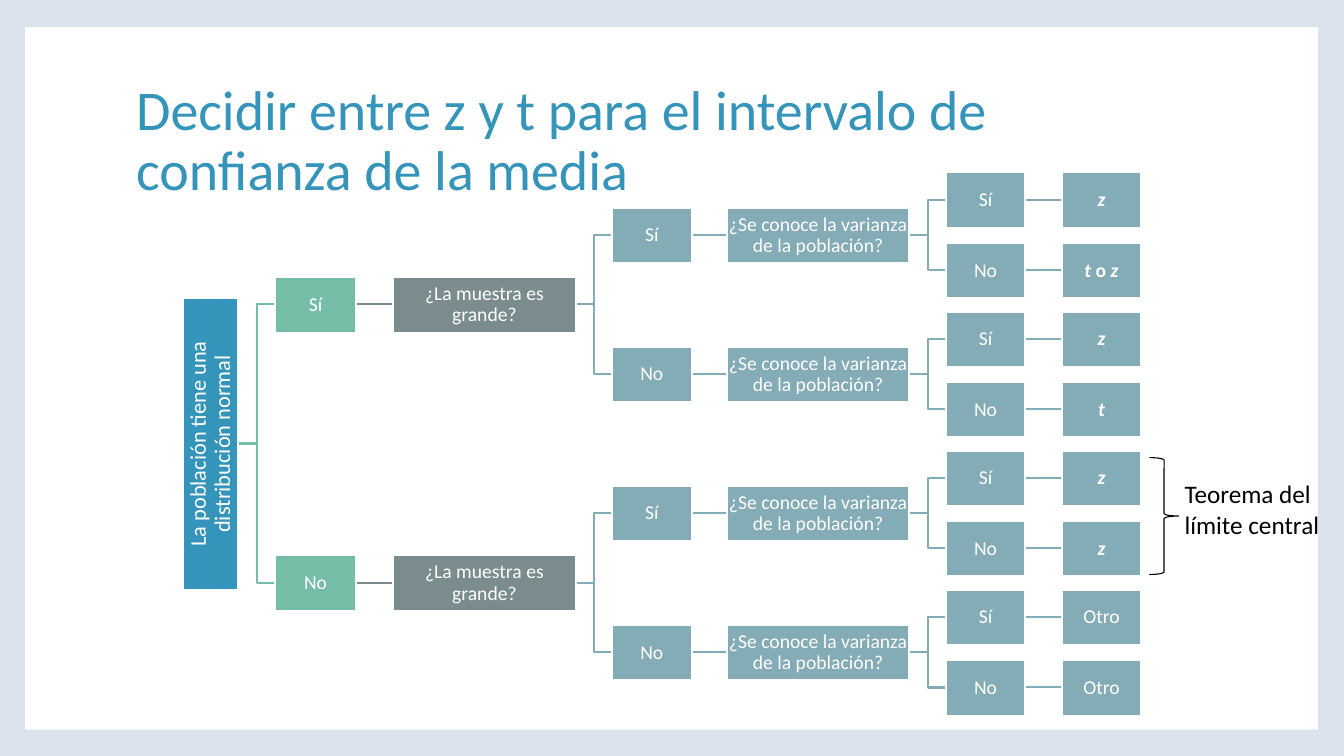
from dataclasses import dataclass

from lxml import etree
from pptx import Presentation
from pptx.dml.color import RGBColor
from pptx.enum.shapes import MSO_CONNECTOR, MSO_SHAPE
from pptx.enum.text import MSO_ANCHOR, MSO_AUTO_SIZE, PP_ALIGN
from pptx.oxml.ns import qn
from pptx.util import Emu, Pt

PX = 9144  # 100 px to the inch
FONT = "Calibri"
WHITE = RGBColor(0xFF, 0xFF, 0xFF)
BLACK = RGBColor(0x00, 0x00, 0x00)
PALE = RGBColor(0xDB, 0xE4, 0xED)
BLUE = RGBColor(0x34, 0x94, 0xBA)
GREEN = RGBColor(0x75, 0xBD, 0xA7)
GRAY = RGBColor(0x7A, 0x8C, 0x8E)
TEAL = RGBColor(0x84, 0xAC, 0xB6)

TREE_TOP, TREE_HEIGHT, BOX_HEIGHT = 164, 552, 55


@dataclass(frozen=True)
class Run:
    text: str
    bold: bool = False
    italic: bool = False


@dataclass(frozen=True)
class Column:
    left: int
    width: int
    color: RGBColor
    labels: list[list[Run]]

    def center(self, row: int) -> int:
        return round(TREE_TOP + TREE_HEIGHT * (row + 0.5) / len(self.labels))


YES_NO = [[Run("Sí")], [Run("No")]]
SAMPLE = [Run("¿La muestra es grande?")]
VARIANCE = [Run("¿Se conoce la varianza de la población?")]
Z = [Run("z", True, True)]
T = [Run("t", True, True)]
T_OR_Z = [Run("t ", True, True), Run("o", True), Run(" z", True, True)]
OTHER = [Run("Otro")]

ROOT = Column(182, 55, BLUE, [[Run("La población tiene una distribución normal")]])
COLUMNS = [
    ROOT,
    Column(273, 80, GREEN, YES_NO),
    Column(390, 181, GRAY, [SAMPLE] * 2),
    Column(607, 79, TEAL, YES_NO * 2),
    Column(721, 181, TEAL, [VARIANCE] * 4),
    Column(938, 79, TEAL, YES_NO * 4),
    Column(1053, 79, TEAL, [Z, T_OR_Z, Z, T, Z, Z, OTHER, OTHER]),
]


def px(*values: int) -> list[Emu]:
    return [Emu(v * PX) for v in values]


def add_runs(p, runs: list[Run], size: int, color: RGBColor) -> None:
    for run in runs:
        r = p.add_run()
        r.text = run.text
        r.font.name, r.font.size = FONT, Pt(size)
        r.font.bold, r.font.italic = run.bold, run.italic
        r.font.color.rgb = color


def add_link(s, start: tuple[int, int], end: tuple[int, int], color: RGBColor) -> None:
    (x1, y1), (x2, y2) = start, end
    if y1 == y2:
        link = s.shapes.add_connector(MSO_CONNECTOR.STRAIGHT, *px(x1, y1, x2, y2))
        etree.SubElement(link.line._get_or_add_ln().getparent(), qn("a:effectLst"))
    else:
        mid = (x1 + x2) // 2
        builder = s.shapes.build_freeform(x1, y1, scale=PX)
        builder.add_line_segments([(mid, y1), (mid, y2), (x2, y2)], close=False)
        link = builder.convert_to_shape()
        link.fill.background()
        link.shadow.inherit = False
    link.line.color.rgb, link.line.width = color, Pt(1.5)


def add_box(s, box: tuple[int, int, int, int], color: RGBColor, runs: list[Run],
            size: int = 14, rotation: int = 0) -> None:
    sp = s.shapes.add_shape(MSO_SHAPE.RECTANGLE, *px(*box))
    sp.rotation = rotation
    sp.shadow.inherit = False
    sp.fill.solid()
    sp.fill.fore_color.rgb = color
    sp.line.color.rgb, sp.line.width = WHITE, Pt(1.5)
    tf = sp.text_frame
    tf.word_wrap = True
    tf.vertical_anchor = MSO_ANCHOR.MIDDLE
    tf.margin_left = tf.margin_right = tf.margin_top = tf.margin_bottom = Emu(PX)
    p = tf.paragraphs[0]
    p.alignment, p.line_spacing = PP_ALIGN.CENTER, 0.9
    add_runs(p, runs, size, WHITE)


def add_tree(s) -> None:
    # Links lie under the boxes
    for parent, child in zip(COLUMNS, COLUMNS[1:]):
        for row in range(len(child.labels)):
            parent_row = row * len(parent.labels) // len(child.labels)
            add_link(s, (parent.left + parent.width, parent.center(parent_row)),
                     (child.left, child.center(row)), child.color)

    # Root box, turned to read upwards
    length = 290
    add_box(s, (ROOT.left + (ROOT.width - length) // 2, ROOT.center(0) - BOX_HEIGHT // 2,
                length, BOX_HEIGHT), ROOT.color, ROOT.labels[0], 16, 270)

    # Questions, answers and results
    for column in COLUMNS[1:]:
        for row, runs in enumerate(column.labels):
            add_box(s, (column.left, column.center(row) - BOX_HEIGHT // 2,
                        column.width, BOX_HEIGHT), column.color, runs)


def main() -> None:
    prs = Presentation()
    prs.slide_width, prs.slide_height = px(1333, 750)
    s = prs.slides.add_slide(prs.slide_layouts[5])

    # Pale frame around a white panel
    s.background.fill.solid()
    s.background.fill.fore_color.rgb = PALE
    panel = s.shapes.add_shape(MSO_SHAPE.RECTANGLE, *px(25, 27, 1282, 697))
    panel.shadow.inherit = False
    panel.fill.solid()
    panel.fill.fore_color.rgb = WHITE
    panel.line.fill.background()
    s.shapes._spTree.insert(2, panel._element)

    # Title
    title = s.shapes.title
    title.left, title.top, title.width, title.height = px(125, 67, 1080, 148)
    tf = title.text_frame
    tf.word_wrap, tf.auto_size = True, MSO_AUTO_SIZE.NONE
    tf.vertical_anchor = MSO_ANCHOR.MIDDLE
    p = tf.paragraphs[0]
    p.alignment, p.line_spacing = PP_ALIGN.LEFT, 0.9
    add_runs(p, [Run("Decidir entre z y t para el intervalo de confianza de la media")], 40, BLUE)

    add_tree(s)

    # Brace and its note
    brace = s.shapes.add_shape(MSO_SHAPE.RIGHT_BRACE, *px(1140, 454, 29, 116))
    brace.shadow.inherit = False
    brace.fill.background()
    brace.line.color.rgb, brace.line.width = BLACK, Pt(0.79)
    note = s.shapes.add_textbox(*px(1165, 470, 162, 71))
    tf = note.text_frame
    tf.word_wrap, tf.auto_size = True, MSO_AUTO_SIZE.SHAPE_TO_FIT_TEXT
    add_runs(tf.paragraphs[0], [Run("Teorema del límite central")], 18, BLACK)

    prs.save("out.pptx")


if __name__ == "__main__":
    main()
